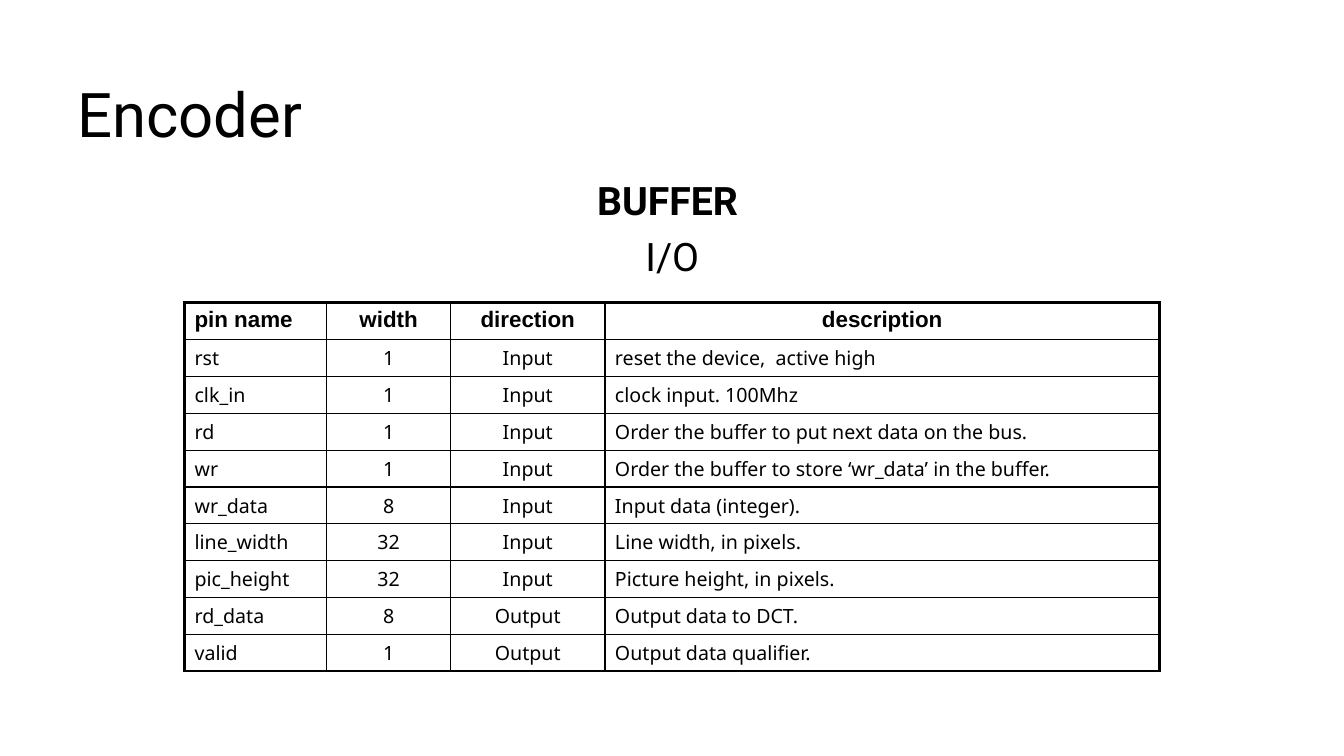
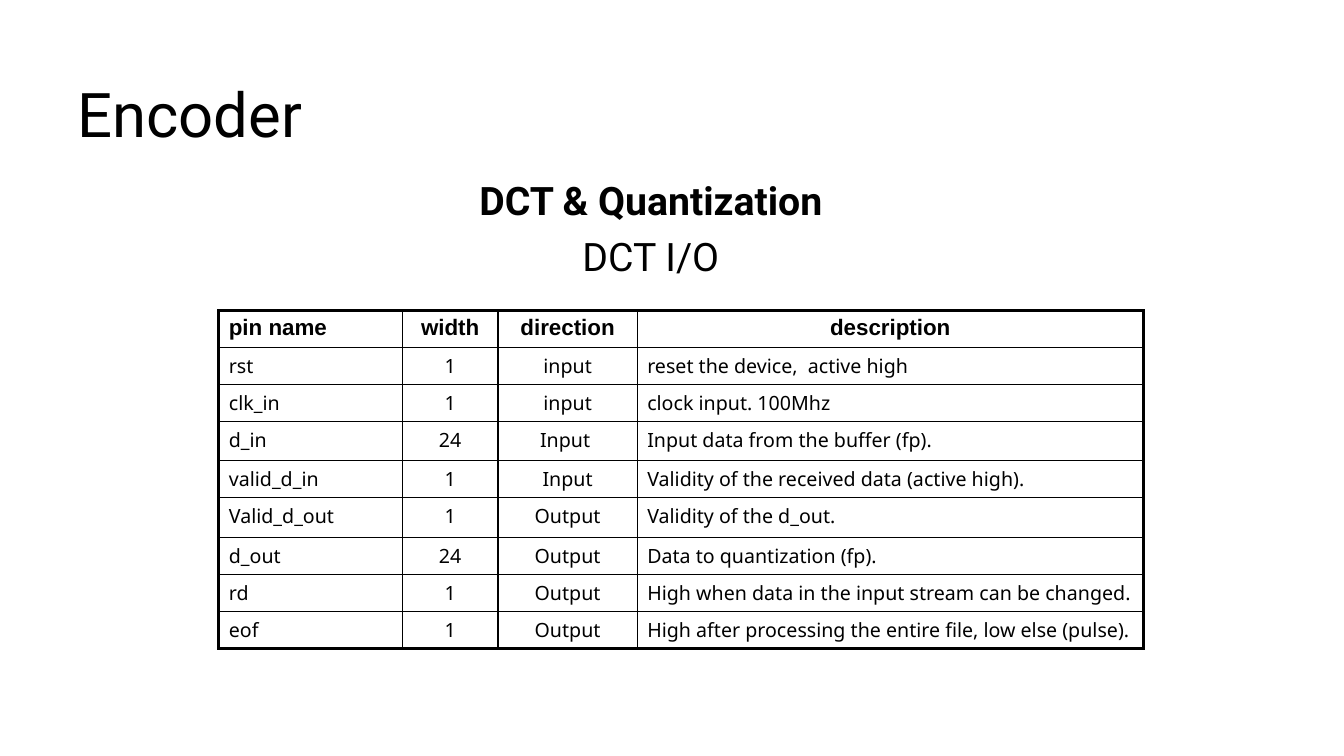
from dataclasses import dataclass

from lxml.etree import SubElement
from pptx import Presentation
from pptx.dml.color import RGBColor
from pptx.enum.text import MSO_ANCHOR, MSO_AUTO_SIZE, PP_ALIGN
from pptx.oxml import parse_xml
from pptx.oxml.ns import nsdecls, qn
from pptx.util import Inches, Pt


@dataclass(frozen=True)
class Theme:
    ink: str = "000000"
    heading_font: str = "Roboto"
    header_font: str = "Arial"
    cell_font: str = "Noto Sans"
    title_size: int = 44
    body_size: int = 28
    header_size: int = 16
    cell_size: int = 14
    outer_line: float = 2.25
    inner_line: float = 1


THEME = Theme()
HEADER = ("pin name", "width", "direction", "description")
CENTRED_COLUMNS = (1, 2)

SLIDES = [
    {
        "heading": "BUFFER",
        "subheading": " I/O",
        "body": (1.83, 1.75, 9.58, 1.08),
        "table_at": (1.83, 3),
        "cols": (1.41, 1.23, 1.53, 5.5),
        "row_heights": [0.37] + [0.33] * 9,
        "pins": [
            ("rst", "1", "Input", "reset the device,  active high"),
            ("clk_in", "1", "Input", "clock input. 100Mhz"),
            ("rd", "1", "Input", "Order the buffer to put next data on the bus."),
            ("wr", "1", "Input", "Order the buffer to store ‘wr_data’ in the buffer."),
            ("wr_data", "8", "Input", "Input data (integer)."),
            ("line_width", "32", "Input", "Line width, in pixels."),
            ("pic_height", "32", "Input", "Picture height, in pixels."),
            ("rd_data", "8", "Output", "Output data to DCT."),
            ("valid", "1", "Output", "Output data qualifier."),
        ],
    },
    {
        "heading": "DCT & Quantization",
        "subheading": "DCT I/O",
        "body": (2.08, 1.75, 8.75, 4.5),
        "table_at": (2.17, 3.08),
        "cols": (1.82, 0.95, 1.38, 5.02),
        "row_heights": [0.37, 0.35, 0.35, 0.39, 0.35, 0.4, 0.33, 0.33, 0.35],
        "pins": [
            ("rst", "1", "input", "reset the device,  active high"),
            ("clk_in", "1", "input", "clock input. 100Mhz"),
            ("d_in", "24", "Input ", "Input data from the buffer (fp)."),
            ("valid_d_in", "1", "Input", "Validity of the received data (active high)."),
            ("Valid_d_out", "1", "Output", "Validity of the d_out."),
            ("d_out", "24", "Output", "Data to quantization (fp)."),
            ("rd", "1", "Output", "High when data in the input stream can be changed."),
            ("eof", "1", "Output", "High after processing the entire file, low else (pulse)."),
        ],
    },
]


def write(p, text, *, font, size, bold=False, align=PP_ALIGN.LEFT, spacing=None, before=0):
    p.alignment = align
    p.line_spacing = spacing
    p.space_before = Pt(before)
    r = p.add_run()
    r.text = text
    r.font.name = font
    r.font.size = Pt(size)
    r.font.bold = bold
    r.font.color.rgb = RGBColor.from_string(THEME.ink)


def set_borders(cell, widths):
    """Draw the cell's left, right, top and bottom lines, widths in points."""
    tc_pr = cell._tc.get_or_add_tcPr()
    for i, (side, width) in enumerate(zip("LRTB", widths)):
        tc_pr.insert(i, parse_xml(
            f'<a:ln{side} {nsdecls("a")} w="{Pt(width)}"><a:solidFill>'
            f'<a:srgbClr val="{THEME.ink}"/></a:solidFill></a:ln{side}>'))


prs = Presentation()
prs.slide_width, prs.slide_height = Inches(13.33), Inches(7.5)
layout = prs.slide_layouts[1]
title = layout.placeholders[0]
title.left, title.top, title.width, title.height = map(Inches, (0.67, 0.42, 12, 1.5))
title.text_frame.vertical_anchor = MSO_ANCHOR.MIDDLE

for page in SLIDES:
    s = prs.slides.add_slide(layout)
    tf = s.shapes.title.text_frame
    tf.auto_size = MSO_AUTO_SIZE.NONE
    write(tf.paragraphs[0], "Encoder", font=THEME.heading_font, size=THEME.title_size,
          spacing=0.9)

    body = s.placeholders[1]
    body.left, body.top, body.width, body.height = map(Inches, page["body"])
    tf = body.text_frame
    tf.auto_size = MSO_AUTO_SIZE.NONE
    for p, key in ((tf.paragraphs[0], "heading"), (tf.add_paragraph(), "subheading")):
        write(p, page[key], font=THEME.heading_font, size=THEME.body_size,
              bold=key == "heading", align=PP_ALIGN.CENTER, spacing=0.9, before=10)
        p_pr = p._p.get_or_add_pPr()
        p_pr.set("marL", "0")
        p_pr.set("indent", "0")
        SubElement(p_pr, qn("a:buNone"))

    rows = [HEADER, *page["pins"]]
    cols, heights = page["cols"], page["row_heights"]
    left, top = page["table_at"]
    table = s.shapes.add_table(len(rows), len(cols), Inches(left), Inches(top),
                               Inches(sum(cols)), Inches(sum(heights))).table
    table.first_row = table.horz_banding = False
    for column, width in zip(table.columns, cols):
        column.width = Inches(width)
    for i, values in enumerate(rows):
        table.rows[i].height = Inches(heights[i])
        is_header = i == 0
        for j, text in enumerate(values):
            cell = table.cell(i, j)
            cell.fill.background()
            centred = j in CENTRED_COLUMNS or (is_header and j == len(cols) - 1)
            write(cell.text_frame.paragraphs[0], text,
                  font=THEME.header_font if is_header else THEME.cell_font,
                  size=THEME.header_size if is_header else THEME.cell_size,
                  bold=is_header, align=PP_ALIGN.CENTER if centred else PP_ALIGN.LEFT)
            on_edge = (j == 0, j == len(cols) - 1, is_header, i == len(rows) - 1)
            set_borders(cell, [THEME.outer_line if edge else THEME.inner_line
                               for edge in on_edge])

prs.save("out.pptx")
